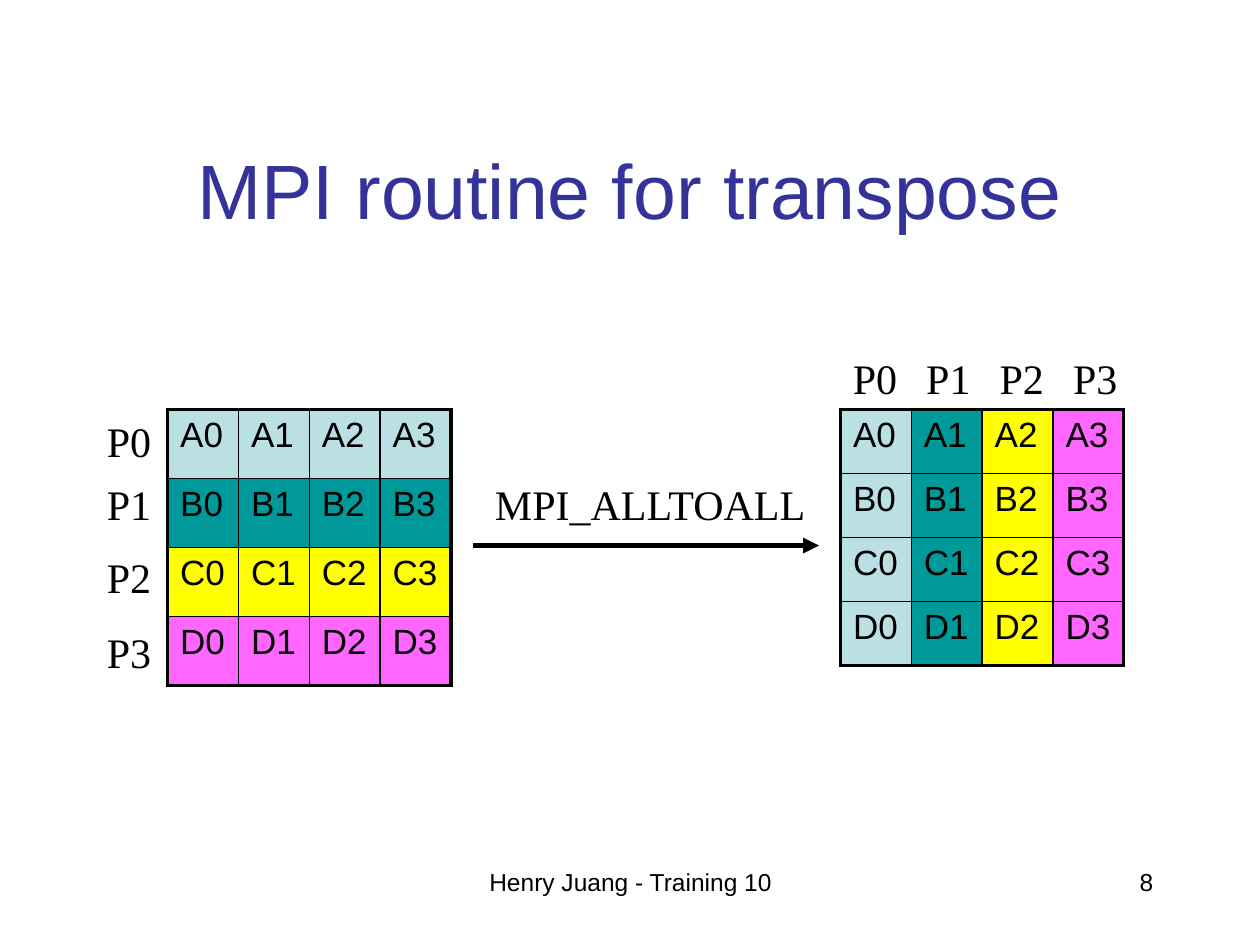
from lxml import etree
from pptx import Presentation
from pptx.dml.color import RGBColor
from pptx.enum.shapes import MSO_CONNECTOR
from pptx.enum.text import MSO_ANCHOR, PP_ALIGN
from pptx.oxml.ns import qn
from pptx.util import Inches, Pt

LEFT, CENTER, RIGHT = PP_ALIGN.LEFT, PP_ALIGN.CENTER, PP_ALIGN.RIGHT
MIDDLE = MSO_ANCHOR.MIDDLE
STRAIGHT = MSO_CONNECTOR.STRAIGHT

BLACK = RGBColor(0x00, 0x00, 0x00)
NAVY = RGBColor(0x33, 0x33, 0x99)
PALE = RGBColor(0xBB, 0xE0, 0xE3)
TEAL = RGBColor(0x00, 0x99, 0x99)
YELLOW = RGBColor(0xFF, 0xFF, 0x00)
PINK = RGBColor(0xFF, 0x66, 0xFF)
PROCESS_COLORS = [PALE, TEAL, YELLOW, PINK]

SANS, SERIF = "Arial", "Times New Roman"
THIN, THICK = Pt(1), Pt(2.25)
SIZE = 4


class SlideBuilder:
    def __init__(self, slide):
        self.slide = slide

    def style(self, tf, text, size, font, color=BLACK, align=LEFT):
        tf.text = text
        p = tf.paragraphs[0]
        p.alignment = align
        r = p.runs[0]
        r.font.size = Pt(size)
        r.font.name = font
        r.font.color.rgb = color

    def title(self, text, x, y, w, h):
        sp = self.slide.shapes.title
        sp.left, sp.top, sp.width, sp.height = map(Inches, (x, y, w, h))
        sp.text_frame.vertical_anchor = MIDDLE
        self.style(sp.text_frame, text, 44, SANS, NAVY, CENTER)

    def text(self, text, x, y, w, size=24, font=SERIF, align=LEFT, wrap=True):
        sp = self.slide.shapes.add_textbox(Inches(x), Inches(y), Inches(w), Inches(0.5))
        sp.text_frame.word_wrap = wrap
        self.style(sp.text_frame, text, size, font, align=align)

    def border(self, cell, side, width):
        ln = etree.SubElement(cell._tc.get_or_add_tcPr(), qn("a:ln" + side), w=str(width))
        fill = etree.SubElement(ln, qn("a:solidFill"))
        etree.SubElement(fill, qn("a:srgbClr"), val=str(BLACK))

    def matrix(self, x, y, w, h, by_row):
        frame = self.slide.shapes.add_table(SIZE, SIZE, Inches(x), Inches(y), Inches(w), Inches(h))
        table = frame.table
        table.first_row = table.horz_banding = False
        last = SIZE - 1
        for i in range(SIZE):
            for j in range(SIZE):
                cell = table.cell(i, j)
                self.style(cell.text_frame, f"{'ABCD'[i]}{j}", 20, SANS)
                outer = {"L": j == 0, "R": j == last, "T": i == 0, "B": i == last}
                for side, is_outer in outer.items():
                    self.border(cell, side, THICK if is_outer else THIN)
                cell.fill.solid()
                cell.fill.fore_color.rgb = PROCESS_COLORS[i if by_row else j]

    def arrow(self, x1, y1, x2, y2):
        cn = self.slide.shapes.add_connector(STRAIGHT, Inches(x1), Inches(y1), Inches(x2), Inches(y2))
        cn.line.color.rgb = BLACK
        cn.line.width = Pt(3)
        etree.SubElement(cn.line._get_or_add_ln(), qn("a:tailEnd"), type="triangle")
        etree.SubElement(cn._element.spPr, qn("a:effectLst"))


def main():
    prs = Presentation()
    prs.slide_width, prs.slide_height = Inches(10), Inches(7.5)
    s = SlideBuilder(prs.slides.add_slide(prs.slide_layouts[5]))

    s.title("MPI routine for transpose", 0.75, 1.08, 8.5, 0.83)
    s.matrix(1.33, 3.25, 2.25, 2.19, by_row=True)
    s.matrix(6.67, 3.25, 2.25, 2.03, by_row=False)

    for i, y in enumerate([3.25, 3.75, 4.33, 4.92]):
        s.text(f"P{i}", 0.75, y, 0.58)
        s.text(f"P{i}", 6.67 + i * 0.583, 2.75, 0.56, wrap=False)

    s.text("MPI_ALLTOALL", 3.83, 3.75, 2.92)
    s.arrow(3.75, 4.33, 6.5, 4.33)

    s.text("Henry Juang - Training 10", 3.42, 6.83, 3.17, 14, SANS, CENTER)
    s.text("8", 7.17, 6.83, 2.08, 14, SANS, RIGHT)
    prs.save("out.pptx")


if __name__ == "__main__":
    main()
